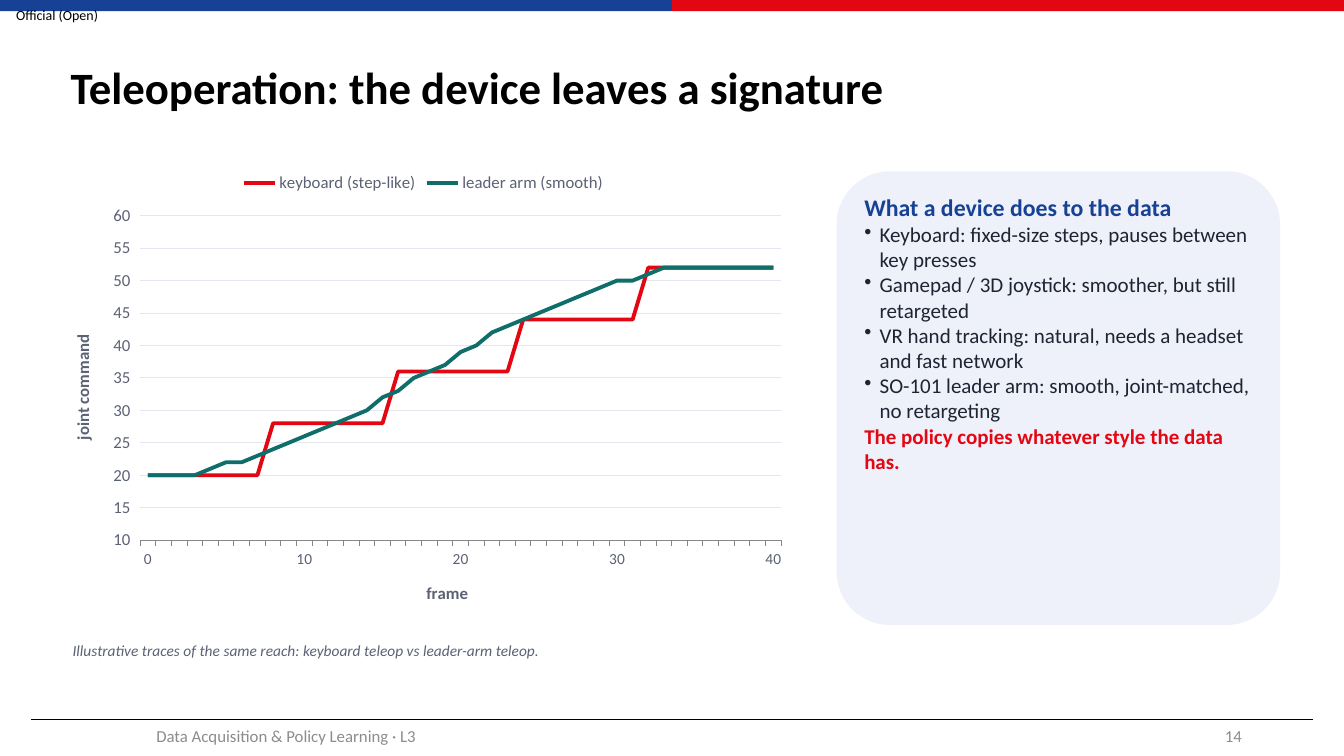
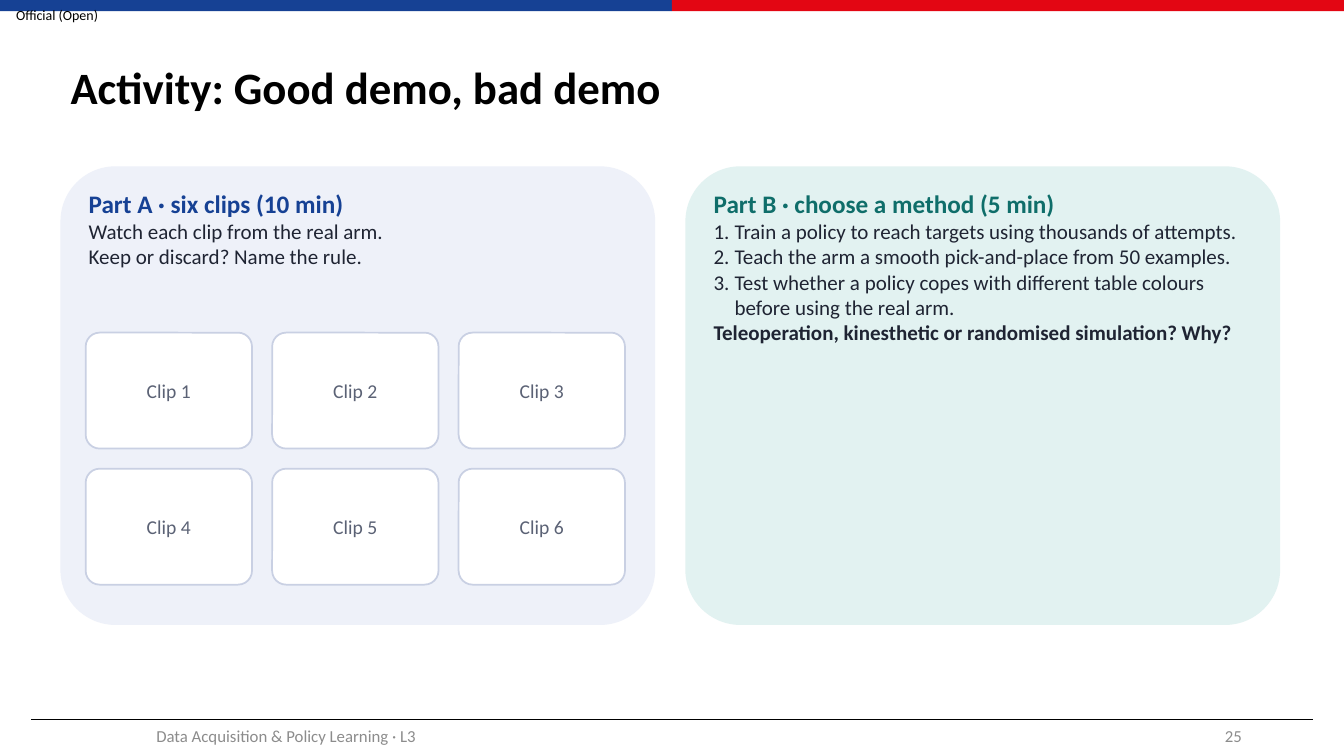
from lxml import etree
from pptx import Presentation
from pptx.chart.data import CategoryChartData
from pptx.dml.color import RGBColor
from pptx.enum import chart as ch, shapes, text
from pptx.oxml import ns
from pptx.util import Pt

FONT = "Calibri"
BLUE = RGBColor(0x16, 0x41, 0x94)
RED = RGBColor(0xE3, 0x06, 0x13)
TEAL = RGBColor(0x0F, 0x6E, 0x6A)
INK = RGBColor(0x1F, 0x24, 0x33)
SLATE = RGBColor(0x5B, 0x62, 0x75)
GREY = RGBColor(0x8C, 0x8C, 0x8C)
BLACK = RGBColor(0, 0, 0)
WHITE = RGBColor(0xFF, 0xFF, 0xFF)
PALE_BLUE = RGBColor(0xEE, 0xF1, 0xF9)
PALE_TEAL = RGBColor(0xE2, 0xF2, 0xF1)
EDGE = RGBColor(0xC9, 0xD0, 0xE3)
GRID = RGBColor(0xE3, 0xE7, 0xF0)

WIDTH, HEIGHT = 960, 540
MARGIN = 43.2
INSETS = (8.64, 4.32, 8.64, 4.32)
FOOTER = "Data Acquisition & Policy Learning · L3"
ALIGN = text.PP_ALIGN
MIDDLE = text.MSO_ANCHOR.MIDDLE
BULLET = ("a:buChar", {"char": "•"}, 11)
NUMBER = ("a:buAutoNum", {"type": "arabicPeriod"}, 15)


def set_font(font, size, color, bold=False, italic=False):
    """Format a font of text or of a chart part."""
    font.name, font.size = FONT, Pt(size)
    font.bold, font.italic = bold, italic
    font.color.rgb = color


def write(tf, words, size=15, color=INK, bold=False, italic=False,
          align=ALIGN.LEFT, marker=None, spacing=None):
    """Add one formatted paragraph to a text frame."""
    p = tf.add_paragraph() if tf.text else tf.paragraphs[0]
    p.alignment = align
    if spacing:
        p.line_spacing = spacing
    if marker:
        tag, attributes, indent = marker
        pPr = p._p.get_or_add_pPr()
        pPr.set("marL", str(Pt(indent)))
        pPr.set("indent", str(-Pt(indent)))
        etree.SubElement(pPr, ns.qn(tag), attributes)
    r = p.add_run()
    r.text = words
    set_font(r.font, size, color, bold, italic)


def set_frame(tf, insets=None, anchor=text.MSO_ANCHOR.TOP):
    """Set wrapping, anchor and insets of a text frame."""
    tf.word_wrap = True
    tf.auto_size = text.MSO_AUTO_SIZE.NONE
    tf.vertical_anchor = anchor
    if insets:
        (tf.margin_left, tf.margin_top,
         tf.margin_right, tf.margin_bottom) = map(Pt, insets)


def add_label(s, box, words, insets=None, anchor=MIDDLE, **fmt):
    """Add a one-paragraph text box."""
    tf = s.shapes.add_textbox(*map(Pt, box)).text_frame
    set_frame(tf, insets, anchor)
    write(tf, words, **fmt)


def add_box(s, box, fill, line=None, rounded=True):
    """Add a filled rectangle, rounded by default."""
    kinds = shapes.MSO_SHAPE
    kind = kinds.ROUNDED_RECTANGLE if rounded else kinds.RECTANGLE
    sp = s.shapes.add_shape(kind, *map(Pt, box))
    if rounded:
        sp.adjustments[0] = 0.12
    sp.shadow.inherit = False
    sp.fill.solid()
    sp.fill.fore_color.rgb = fill
    if line:
        sp.line.color.rgb = line
        sp.line.width = Pt(1.25)
    else:
        sp.line.fill.background()
    return sp


def add_panel(s, box, fill, heading, accent, size, items):
    """Add a rounded panel with a heading and (text, format) items."""
    tf = add_box(s, box, fill).text_frame
    set_frame(tf, INSETS)
    write(tf, heading, size=size, color=accent, bold=True)
    for words, fmt in items:
        write(tf, words, **fmt)


def add_clips(s, box):
    """Add the grid of clip cards inside a panel box."""
    x, y = box[:2]
    w, h, gap = 118.8, 82.8, 14.4
    for i in range(6):
        row, col = divmod(i, 3)
        card = (x + 18 + col * (w + gap), y + 118.8 + row * (h + gap), w, h)
        tf = add_box(s, card, WHITE, EDGE).text_frame
        set_frame(tf, INSETS, MIDDLE)
        write(tf, f"Clip {i + 1}", size=14, color=SLATE, align=ALIGN.CENTER)


def title_axis(axis, words, size):
    """Give an axis its title and tick label font."""
    tf = axis.axis_title.text_frame
    write(tf, words, size=12, color=SLATE, bold=True, align=ALIGN.CENTER)
    set_font(axis.tick_labels.font, size, SLATE)
    axis.major_tick_mark = ch.XL_TICK_MARK.OUTSIDE


def add_trace_chart(s, box):
    """Add the line chart of joint commands by frame."""
    frames = range(41)
    data = CategoryChartData()
    data.categories = ["" if i % 10 else str(i) for i in frames]
    data.add_series("keyboard (step-like)",
                    [min(52, 20 + 8 * (i // 8)) for i in frames])
    data.add_series("leader arm (smooth)", [
        20, 20, 20, 20, 21, 22, 22, 23, 24, 25, 26, 27, 28, 29,
        30, 32, 33, 35, 36, 37, 39, 40, 42, 43, 44, 45, 46, 47,
        48, 49, 50, 50, 51, 52, 52, 52, 52, 52, 52, 52, 52])
    chart = s.shapes.add_chart(
        ch.XL_CHART_TYPE.LINE, *map(Pt, box), data).chart
    set_font(chart.font, 12, SLATE)
    chart.has_title = False
    chart.has_legend = True
    chart.legend.position = ch.XL_LEGEND_POSITION.TOP
    chart.legend.include_in_layout = False
    set_font(chart.legend.font, 12, SLATE)
    plot = chart.plots[0]
    plot.vary_by_categories = False
    for series, color in zip(plot.series, (RED, TEAL)):
        series.smooth = False
        series.marker.style = ch.XL_MARKER_STYLE.NONE
        series.format.line.color.rgb = color
        series.format.line.width = Pt(2.75)
    title_axis(chart.category_axis, "frame", 11)
    axis = chart.value_axis
    title_axis(axis, "joint command", 12)
    axis.minimum_scale, axis.maximum_scale, axis.major_unit = 10, 60, 5
    axis.format.line.fill.background()
    axis.major_gridlines.format.line.color.rgb = GRID
    axis.major_gridlines.format.line.width = Pt(0.75)


def add_base(prs, title, number):
    """Add a slide with the shared bands, title and footer."""
    s = prs.slides.add_slide(prs.slide_layouts[5])
    half = WIDTH / 2
    for x, color in ((0, BLUE), (half, RED)):
        add_box(s, (x, 0, half, 7.9), color, rounded=False)
    add_label(s, (0, 0, 90, 21), "Official (Open)", insets=(11.5, 0, 0, 0),
              size=10, color=BLACK)
    rule = s.shapes.add_connector(shapes.MSO_CONNECTOR.STRAIGHT,
                                  Pt(22.3), Pt(514), Pt(938), Pt(514))
    rule.line.color.rgb = BLACK
    rule.line.width = Pt(0.5)
    etree.SubElement(rule.element.spPr, ns.qn("a:effectLst"))
    sp = s.shapes.title
    sp.left, sp.top, sp.width, sp.height = map(Pt, (MARGIN, 21.6, 870, 85))
    set_frame(sp.text_frame, anchor=MIDDLE)
    write(sp.text_frame, title, size=32, color=BLACK, bold=True, spacing=0.9)
    add_label(s, (42.5, 511.2, 324, 28.8), FOOTER, size=12, color=GREY,
              align=ALIGN.CENTER)
    add_label(s, (678.2, 511.2, 216, 28.8), str(number), size=12, color=GREY,
              align=ALIGN.RIGHT)
    return s


def teleoperation_slide(prs):
    """Build the slide with the trace chart and the device panel."""
    s = add_base(prs, "Teleoperation: the device leaves a signature", 14)
    add_trace_chart(s, (36, 115.2, 532.8, 331.2))
    devices = (
        "Keyboard: fixed-size steps, pauses between key presses",
        "Gamepad / 3D joystick: smoother, but still retargeted",
        "VR hand tracking: natural, needs a headset and fast network",
        "SO-101 leader arm: smooth, joint-matched, no retargeting",
    )
    items = [(d, {"marker": BULLET}) for d in devices]
    items.append(("The policy copies whatever style the data has.",
                  {"color": RED, "bold": True}))
    add_panel(s, (597.6, 122.4, 316.8, 324), PALE_BLUE,
              "What a device does to the data", BLUE, 17, items)
    add_label(s, (MARGIN, 453.6, 532.8, 25.2),
              "Illustrative traces of the same reach: "
              "keyboard teleop vs leader-arm teleop.",
              insets=INSETS, anchor=text.MSO_ANCHOR.TOP,
              size=11, color=SLATE, italic=True)


def activity_slide(prs):
    """Build the slide with the two activity panels."""
    s = add_base(prs, "Activity: Good demo, bad demo", 25)
    top, w, h, gap = 118.8, 424.8, 327.6, 21.6
    left = (MARGIN, top, w, h)
    right = (MARGIN + w + gap, top, w, h)
    add_panel(s, left, PALE_BLUE, "Part A · six clips (10 min)", BLUE, 18, [
        ("Watch each clip from the real arm.", {}),
        ("Keep or discard? Name the rule.", {}),
    ])
    add_clips(s, left)
    tasks = (
        "Train a policy to reach targets using thousands of attempts.",
        "Teach the arm a smooth pick-and-place from 50 examples.",
        "Test whether a policy copes with different table colours "
        "before using the real arm.",
    )
    items = [(t, {"marker": NUMBER}) for t in tasks]
    items.append(("Teleoperation, kinesthetic or randomised simulation? Why?",
                  {"bold": True}))
    add_panel(s, right, PALE_TEAL, "Part B · choose a method (5 min)",
              TEAL, 18, items)


def main():
    """Build and save the presentation."""
    prs = Presentation()
    prs.slide_width, prs.slide_height = Pt(WIDTH), Pt(HEIGHT)
    teleoperation_slide(prs)
    activity_slide(prs)
    prs.save("out.pptx")


if __name__ == "__main__":
    main()
